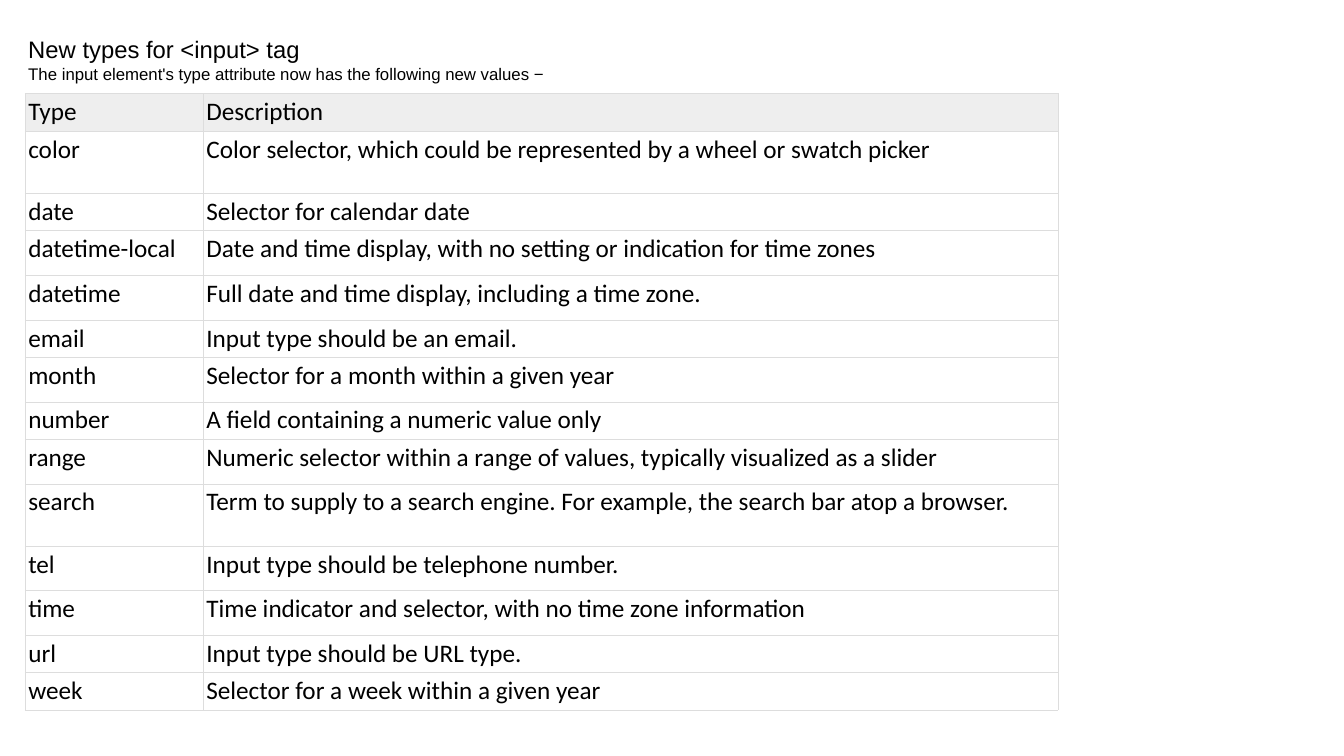
from dataclasses import dataclass

from lxml import etree
from pptx import Presentation
from pptx.dml.color import RGBColor
from pptx.enum.text import MSO_ANCHOR, MSO_AUTO_SIZE, PP_ALIGN
from pptx.oxml.ns import qn
from pptx.util import Inches, Pt

JUSTIFY = PP_ALIGN.JUSTIFY
TOP, MIDDLE = MSO_ANCHOR.TOP, MSO_ANCHOR.MIDDLE
NO_AUTOSIZE = MSO_AUTO_SIZE.NONE
TITLE_ONLY = 5

INPUT_TYPES = [
    ("Type", "Description"),
    ("color", "Color selector, which could be represented by a wheel or swatch picker"),
    ("date", "Selector for calendar date"),
    ("datetime-local", "Date and time display, with no setting or indication for time zones"),
    ("datetime", "Full date and time display, including a time zone."),
    ("email", "Input type should be an email."),
    ("month", "Selector for a month within a given year"),
    ("number", "A field containing a numeric value only"),
    ("range", "Numeric selector within a range of values, typically visualized as a slider"),
    ("search", "Term to supply to a search engine. For example, the search bar atop a browser."),
    ("tel", "Input type should be telephone number."),
    ("time", "Time indicator and selector, with no time zone information"),
    ("url", "Input type should be URL type."),
    ("week", "Selector for a week within a given year"),
]

# Row heights in percent of the slide height
LOW, MEDIUM, TALL = 4.95, 5.9, 8.25
ROW_HEIGHTS = [LOW, TALL, LOW, MEDIUM, MEDIUM, LOW, MEDIUM,
               LOW, MEDIUM, TALL, MEDIUM, MEDIUM, LOW, LOW]
# Column widths in percent of the slide width
COLUMN_WIDTHS = [13.25, 63.6]


@dataclass(frozen=True)
class Theme:
    ink: str = "000000"
    header_fill: str = "EEEEEE"
    rule: str = "DDDDDD"
    rule_width: float = 0.6
    heading_font: str = "Arial"
    table_font: str = "Calibri"
    heading_size: int = 17
    intro_size: int = 12
    table_size: int = 18
    cell_inset: float = 0.03


class SlideBuilder:
    def __init__(self, deck, theme):
        self.deck = deck
        self.theme = theme
        self.slide = deck.slides.add_slide(deck.slide_layouts[TITLE_ONLY])

    def across(self, percent):
        return round(self.deck.slide_width * percent / 100)

    def down(self, percent):
        return round(self.deck.slide_height * percent / 100)

    def add_run(self, paragraph, text, size, font):
        run = paragraph.add_run()
        run.text = text
        run.font.size = Pt(size)
        run.font.name = font
        run.font.bold = False
        run.font.color.rgb = RGBColor.from_string(self.theme.ink)

    def heading(self, left, top, width, height, lines):
        """Fill the title placeholder with (text, size) lines."""
        title = self.slide.shapes.title
        title.left, title.top = self.across(left), self.down(top)
        title.width, title.height = self.across(width), self.down(height)
        frame = title.text_frame
        frame.auto_size = NO_AUTOSIZE
        frame.word_wrap = True
        frame.vertical_anchor = MIDDLE
        frame.margin_top = frame.margin_bottom = 0
        for index, (text, size) in enumerate(lines):
            paragraph = frame.add_paragraph() if index else frame.paragraphs[0]
            paragraph.alignment = JUSTIFY
            self.add_run(paragraph, text, size, self.theme.heading_font)

    def table(self, left, top, widths, heights, rows):
        grid = self.slide.shapes.add_table(
            len(rows), len(widths), self.across(left), self.down(top),
            self.across(sum(widths)), self.down(sum(heights))).table
        grid.first_row = grid.horz_banding = False
        for column, width in zip(grid.columns, widths):
            column.width = self.across(width)
        for row, height, texts in zip(grid.rows, heights, rows):
            row.height = self.down(height)
            for cell, text in zip(row.cells, texts):
                self.fill_cell(cell, text, is_header=texts is rows[0])

    def fill_cell(self, cell, text, is_header):
        inset = Inches(self.theme.cell_inset)
        cell.margin_left = cell.margin_right = inset
        cell.margin_top = cell.margin_bottom = inset
        cell.vertical_anchor = TOP
        self.add_run(cell.text_frame.paragraphs[0], text,
                     self.theme.table_size, self.theme.table_font)
        self.border_cell(cell)
        if is_header:
            cell.fill.solid()
            cell.fill.fore_color.rgb = RGBColor.from_string(self.theme.header_fill)
        else:
            cell.fill.background()

    def border_cell(self, cell):
        properties = cell._tc.get_or_add_tcPr()
        for side in ("a:lnL", "a:lnR", "a:lnT", "a:lnB"):
            line = etree.SubElement(properties, qn(side),
                                    w=str(Pt(self.theme.rule_width)))
            fill = etree.SubElement(line, qn("a:solidFill"))
            etree.SubElement(fill, qn("a:srgbClr"), val=self.theme.rule)


def main():
    deck = Presentation()
    deck.slide_width, deck.slide_height = Inches(13.33), Inches(7.5)
    theme = Theme()
    builder = SlideBuilder(deck, theme)
    builder.heading(1.35, 4.55, 97, 6.65, [
        ("New types for <input> tag", theme.heading_size),
        ("The input element's type attribute now has the following new values −",
         theme.intro_size),
    ])
    builder.table(1.88, 12.4, COLUMN_WIDTHS, ROW_HEIGHTS, INPUT_TYPES)
    deck.save("out.pptx")


if __name__ == "__main__":
    main()
